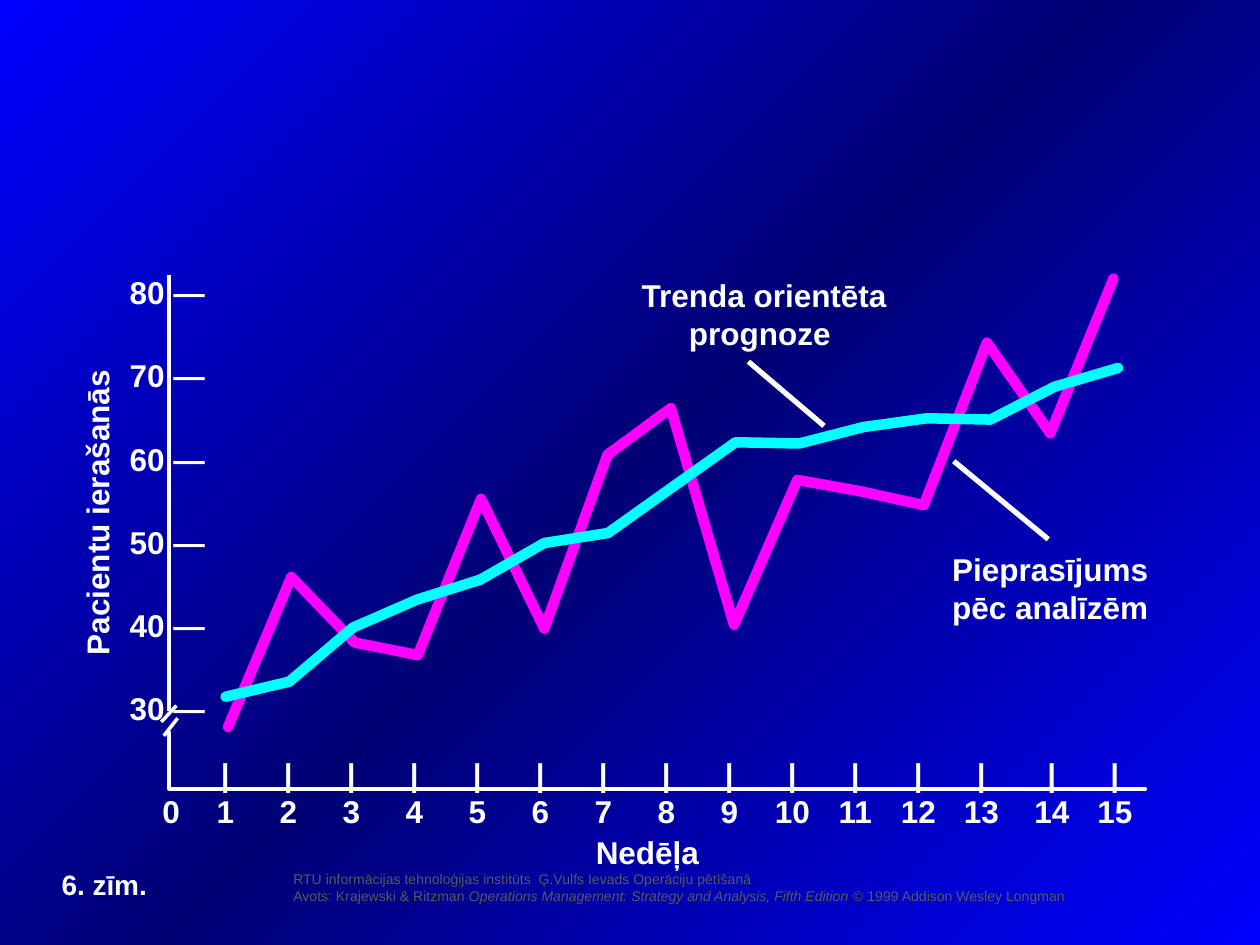
from copy import deepcopy
from lxml import etree
from pptx import Presentation, util as u
from pptx.dml.color import RGBColor
from pptx.enum import shapes, text
from pptx.oxml.ns import qn

THEME = {
    "white": RGBColor.from_string("FFFFFF"),
    "gray": RGBColor.from_string("595959"),
    "demand": RGBColor.from_string("FF00FF"),
    "forecast": RGBColor.from_string("00FFFF"),
    "background": ["0000FF", "000075", "0000FF"],
    "font": "Arial", "label": 18, "caption": 16, "footer": 8,
    "axis": 2, "pointer": 3, "series": 6,
}

# Grid of 100 columns by 75 rows with square cells
presentation = Presentation()
presentation.slide_width, presentation.slide_height = u.Inches(10), u.Inches(7.5)
CELL = presentation.slide_width // 100
slide = presentation.slides.add_slide(presentation.slide_layouts[6])


def add_text(place, paragraphs, wrap=True, align="LEFT", spacing=None, tabs=(),
             size="label", color="white", bold=True):
    """Add a text box; each paragraph is a list of (wording, italic) runs."""
    shape = slide.shapes.add_textbox(*[round(cell * CELL) for cell in place])
    frame = shape.text_frame
    frame.word_wrap = wrap
    for index, runs in enumerate(paragraphs):
        paragraph = frame.add_paragraph() if index else frame.paragraphs[0]
        if tabs:
            properties = paragraph._p.get_or_add_pPr()
            tab_list = etree.SubElement(properties, qn("a:tabLst"))
            for position in tabs:
                etree.SubElement(tab_list, qn("a:tab"),
                                 pos=str(round(position * CELL)), algn="ctr")
        paragraph.alignment = getattr(text.PP_ALIGN, align)
        paragraph.line_spacing = spacing
        for wording, italic in runs:
            run = paragraph.add_run()
            run.text = wording
            run.font.color.rgb = THEME[color]
            style = {"name": THEME["font"], "size": u.Pt(THEME[size]),
                     "bold": bold, "italic": italic}
            for name, value in style.items():
                setattr(run.font, name, value)
    return shape


def add_path(points, color="white", width="axis"):
    """Draw an open line through grid points: a connector for two, else a freeform."""
    points = [(round(column * CELL), round(row * CELL)) for column, row in points]
    if len(points) == 2:
        shape = slide.shapes.add_connector(
            shapes.MSO_CONNECTOR.STRAIGHT, *points[0], *points[1])
    else:
        builder = slide.shapes.build_freeform(*points[0])
        builder.add_line_segments(points[1:], close=False)
        shape = builder.convert_to_shape()
        shape.fill.background()
        shape.shadow.inherit = False
    shape.line.color.rgb = THEME[color]
    shape.line.width = u.Pt(THEME[width])
    if len(points) == 2:
        etree.SubElement(shape._element.spPr, qn("a:effectLst"))
    else:
        line = shape.line._get_or_add_ln()
        line.set("cap", "rnd")
        etree.SubElement(line, qn("a:round"))


# Background: diagonal gradient, dark in the middle
fill = slide.background.fill
fill.gradient()
stops = slide._element.find(".//" + qn("a:gsLst"))
stops.append(deepcopy(stops[-1]))
for index, (stop, color) in enumerate(zip(stops, THEME["background"])):
    stop.set("pos", str(index * 50000))
    for child in list(stop):
        stop.remove(child)
    etree.SubElement(stop, qn("a:srgbClr"), val=color)
fill.gradient_angle = 135

# Source line
add_text((22.3, 68.6, 77.7, 3.7), [
    [("RTU informācijas tehnoloģijas institūts  Ģ.Vulfs Ievads Operāciju pētīšanā", False)],
    [("Avots: Krajewski & Ritzman ", False),
     ("Operations Management: Strategy and Analysis, Fifth Edition", True),
     (" © 1999 Addison Wesley Longman", False)],
], size="footer", color="gray", bold=False)

# Week axis: tick marks and numbers on shared tab stops
weeks = range(1, 16)
week_tabs = [5 * week + (0.6 if week > 13 else 0) for week in weeks]
add_text((11.9, 59.4, 81.1, 7), [
    [("\t|" * len(weeks), False)],
    [("\t".join(str(week) for week in [0, *weeks]), False)],
], tabs=week_tabs)
add_text((46.3, 65.6, 10.2, 7), [[("Nedēļa", False)]], wrap=False)

# Arrivals axis: values, title, line and break marks
add_text((9.3, 17.6, 8, 40.6),
         [[(f"{value} —", False)] for value in range(80, 20, -10)],
         wrap=False, spacing=2.2)
title = add_text((-5.1, 35.2, 28.6, 7), [[("Pacientu ierašanās", False)]], wrap=False)
title.rotation = 270
for points in (
    [(13.4, 21.8), (13.4, 56.4)],
    [(12.8, 57.3), (14, 56)],
    [(13, 58.4), (14.1, 57)],
    [(13.4, 58.1), (13.4, 62.6), (90.9, 62.6)],
):
    add_path(points)

# Data lines: first column, column step, row of each week
for color, start, step, rows in (
    ("demand", 18.1, 5.02, [57.7, 45.8, 51, 52, 39.6, 49.9, 36.1, 32.4,
                            49.6, 38.1, 39, 40.1, 27.2, 34.4, 22.1]),
    ("forecast", 17.9, 5.06, [55.3, 54.1, 49.8, 47.6, 46, 43.1, 42.3, 38.7,
                              35.1, 35.2, 33.9, 33.2, 33.3, 30.7, 29.2]),
):
    points = [(start + step * index, row) for index, row in enumerate(rows)]
    add_path(points, color, "series")

# Series labels with pointers
add_text((47.4, 21.4, 26.5, 7),
         [[("Trenda orientēta", False)], [("prognoze ", False)]], align="CENTER")
add_path([(59.4, 28.7), (65.4, 33.8)], width="pointer")
add_path([(75.7, 36.6), (83.2, 42.8)], width="pointer")
add_text((74.4, 43.2, 17.9, 7), [[("Pieprasījums pēc analīzēm", False)]], align="CENTER")

# Figure number
add_text((3.9, 68.4, 8.8, 3.7), [[("6. zīm.", False)]], wrap=False, size="caption")

presentation.save("out.pptx")
